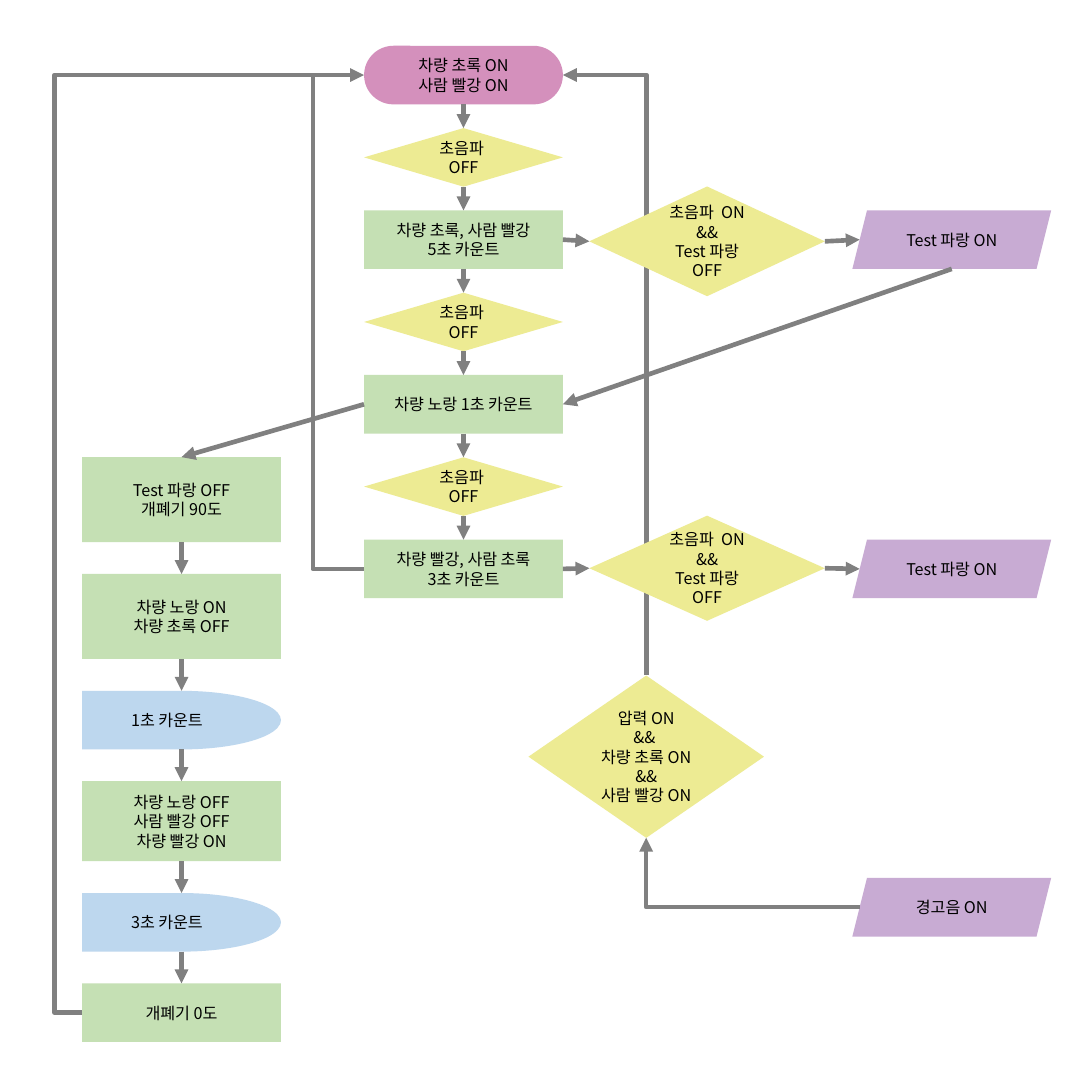
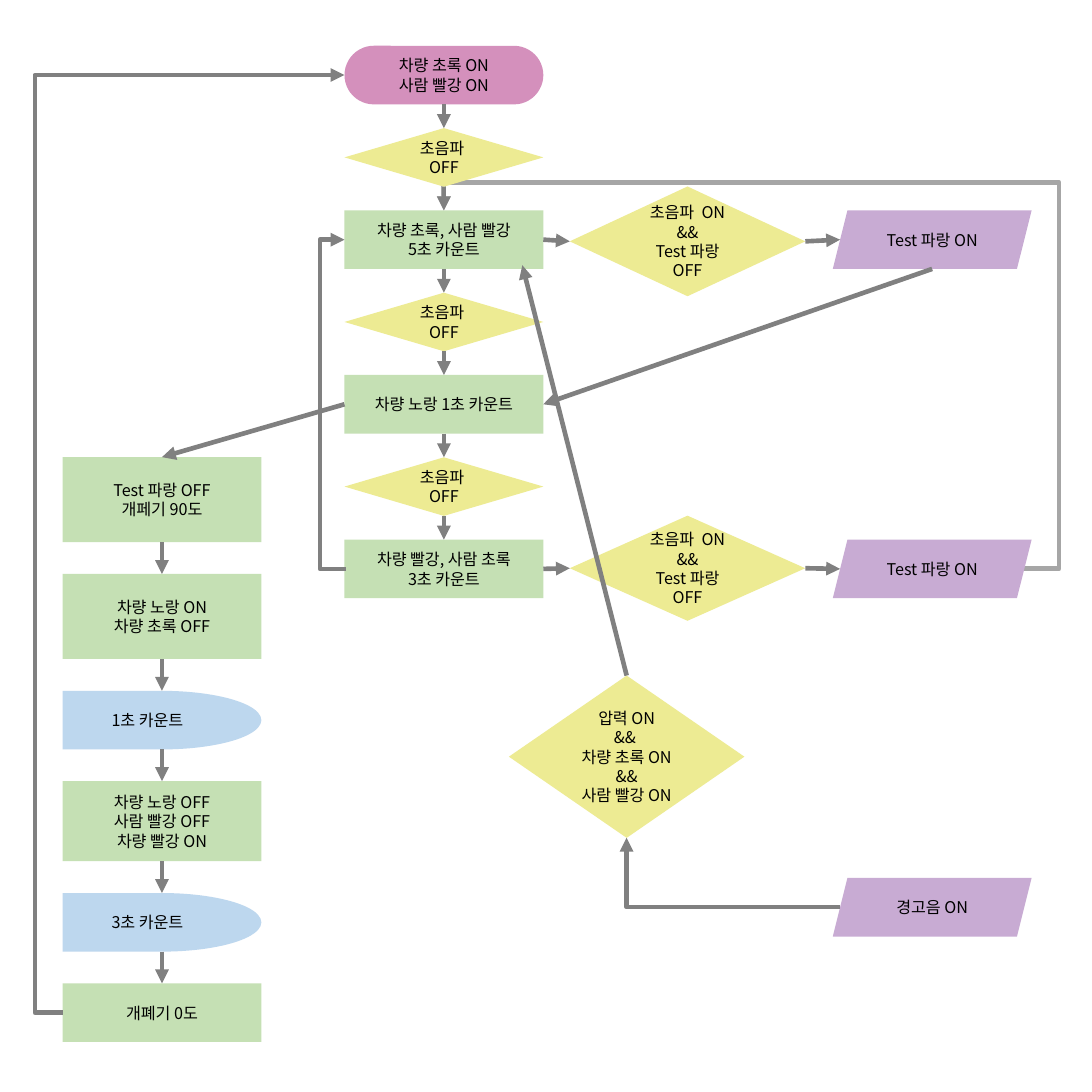
from lxml.etree import SubElement as Sub
from pptx import Presentation
from pptx.dml.color import RGBColor
from pptx.enum.shapes import MSO_CONNECTOR as Link, MSO_SHAPE as Kind
from pptx.enum.text import MSO_ANCHOR, PP_ALIGN
from pptx.oxml.ns import qn
from pptx.util import Pt

FONT = "Noto Sans CJK KR"
BLACK = RGBColor(0, 0, 0)
GREEN = RGBColor(0xC5, 0xE0, 0xB4)
YELLOW = RGBColor(0xED, 0xEB, 0x93)
PINK = RGBColor(0xD4, 0x90, 0xBC)
BLUE = RGBColor(0xBD, 0xD7, 0xEE)
PURPLE = RGBColor(0xC8, 0xAB, 0xD3)
GRAY = RGBColor(0x80, 0x80, 0x80)
PALE = RGBColor(0xA6, 0xA6, 0xA6)

STEP = (Kind.RECTANGLE, GREEN)
TEST = (Kind.DIAMOND, YELLOW)
START = (Kind.ROUNDED_RECTANGLE, PINK)
WAIT = (Kind.FLOWCHART_DELAY, BLUE)
SIGNAL = (Kind.PARALLELOGRAM, PURPLE)

SIDE = 708.5
WIDE, HIGH = 129, 38
MID_X, MID_Y, MID_STEP = 236.2, 29.7, 53.4
LEFT_X, LEFT_Y, LEFT_GAP = 53.3, 296.6, 20.6
SIGNAL_X, TEST_X, TEST_WIDE = 553, 382.4, 152.8

OFF = "초음파  OFF"
MIDDLE = [
    ("start", START, "차량 초록 ON\n사람 빨강 ON"),
    ("off 1", TEST, OFF),
    ("green", STEP, "차량 초록, 사람 빨강\n5초 카운트"),
    ("off 2", TEST, OFF),
    ("yellow", STEP, "차량 노랑 1초 카운트"),
    ("off 3", TEST, OFF),
    ("red", STEP, "차량 빨강, 사람 초록\n3초 카운트"),
]
LEFT = [
    ("open", STEP, 55.2, "Test 파랑 OFF\n{gate} 90도"),
    ("amber", STEP, 55.2, "차량 노랑 ON\n차량 초록 OFF"),
    ("wait 1", WAIT, HIGH, "1초 카운트"),
    ("stop", STEP, 52, "차량 노랑 OFF\n사람 빨강 OFF\n차량 빨강 ON"),
    ("wait 3", WAIT, HIGH, "3초 카운트"),
    ("close", STEP, HIGH, "개폐기 0도"),
]
ON = "초음파  ON\n&&\nTest 파랑 OFF"
BLUE_ON = "Test 파랑 ON"
RIGHT = [
    ("on 1", TEST, TEST_X, 121, TEST_WIDE, 71.2, ON),
    ("blue 1", SIGNAL, SIGNAL_X, 136.5, WIDE, HIGH, BLUE_ON),
    ("on 2", TEST, TEST_X, 334.6, TEST_WIDE, 68.2, ON),
    ("blue 2", SIGNAL, SIGNAL_X, 350.1, WIDE, HIGH, BLUE_ON),
    ("press", TEST, 342.9, 438.3, TEST_WIDE, 105.3,
     "압력 ON\n&& \n차량 초록 ON\n&&\n사람 빨강 ON"),
    ("alarm", SIGNAL, SIGNAL_X, 569.6, WIDE, HIGH, "경고음 ON"),
]

# Links: (node, side) or a free point at each end
DIRECT = [
    (("green", "right"), ("on 1", "left")),
    (("on 1", "right"), ("blue 1", "left")),
    (("blue 1", "bottom"), ("yellow", "right")),
    (("red", "right"), ("on 2", "left")),
    (("on 2", "right"), ("blue 2", "left")),
    (("yellow", "left"), ("open", "top")),
]
# Bent links add the preset, its bends and options
BENT = [
    (("alarm", "left"), ("press", "bottom"), "bentConnector2", (), {}),
    (("close", "left"), ("start", "left"), "bentConnector3", (-0.098,), {}),
]
FIRST = [
    (("start", "right"), ("press", "top"), "bentConnector2", (),
     {"arrow": "headEnd", "back": True}),
    (("red", "left"), (203, 48.7), "bentConnector2", (), {"arrow": None}),
]
SECOND = [
    (("blue 2", "right"), ("green", "top"), "bentConnector4",
     (-0.06, 1.078), {"color": PALE, "back": True}),
    (("red", "left"), ("green", "left"), "bentConnector3", (18,),
     {"nudge": 0.94}),
    (("press", "top"), (351.6, 172.1), "line", (), {}),
]
PAGES = [(0, "개폐기", FIRST), (-12.7, "개페기", SECOND)]

SPOTS = {"top": (0.5, 0), "left": (0, 0.5), "bottom": (0.5, 1), "right": (1, 0.5)}
SITES = {"top": 0, "left": 1, "bottom": 2, "right": 3}
SLANT_SITES = {"top": 0, "left": 2, "bottom": 4, "right": 5}


def add_node(slide, look, x, y, wide, high, text):
    """Draw one box of the flow with its centred text."""
    kind, fill = look
    node = slide.shapes.add_shape(kind, Pt(x), Pt(y), Pt(wide), Pt(high))
    node.shadow.inherit = False
    node.fill.solid()
    node.fill.fore_color.rgb = fill
    node.line.fill.background()
    if look == START:
        node.adjustments[0] = 0.5
    frame = node.text_frame
    frame.word_wrap = True
    frame.vertical_anchor = MSO_ANCHOR.MIDDLE
    frame.text = text
    for para in frame.paragraphs:
        para.alignment = PP_ALIGN.CENTER
        para.font.size = Pt(10.5)
        para.font.name = FONT
        para.font.color.rgb = BLACK
        Sub(para._p.pPr.find(qn("a:defRPr")), qn("a:ea"), typeface=FONT)
    return node


def locate(nodes, end, shift):
    """Give the place of a link's end, and its node and site if it has one."""
    if end[0] not in nodes:
        return Pt(end[0] + shift), Pt(end[1]), None, None
    node, side = nodes[end[0]], end[1]
    across, down = SPOTS[side]
    x = node.left + int(node.width * across)
    y = node.top + int(node.height * down)
    if node.auto_shape_type != Kind.PARALLELOGRAM:
        return x, y, node, SITES[side]
    slant = int(node.height / 8)
    x += {"left": slant, "right": -slant}.get(side, 0)
    return x, y, node, SLANT_SITES[side]


def add_link(slide, nodes, shift, tail, head, preset="line", bends=(),
             arrow="tailEnd", color=GRAY, back=False, nudge=0):
    """Join two ends by a straight or bent line."""
    x1, y1, node1, site1 = locate(nodes, tail, shift)
    x2, y2, node2, site2 = locate(nodes, head, shift)
    kind = Link.STRAIGHT if preset == "line" else Link.ELBOW
    link = slide.shapes.add_connector(kind, x1 + Pt(nudge), y1, x2, y2)
    link.line.color.rgb = color
    link.line.width = Pt(3)
    item = link._element
    glue = item.nvCxnSpPr.cNvCxnSpPr
    for tag, node, site in (("a:stCxn", node1, site1), ("a:endCxn", node2, site2)):
        if node is not None:
            Sub(glue, qn(tag), id=str(node.shape_id), idx=str(site))
    geom = item.spPr.find(qn("a:prstGeom"))
    geom.set("prst", preset)
    guides = geom.find(qn("a:avLst"))
    if guides is None:
        guides = Sub(geom, qn("a:avLst"))
    for count, bend in enumerate(bends, 1):
        Sub(guides, qn("a:gd"), name=f"adj{count}", fmla=f"val {round(bend * 100000)}")
    if arrow:
        Sub(item.spPr.find(qn("a:ln")), qn("a:" + arrow), type="triangle")
    Sub(item.spPr, qn("a:effectLst"))
    if back:
        slide.shapes._spTree.insert(2, item)


def add_page(deck, shift, gate, extra):
    """Build one flow chart, moved sideways by shift."""
    slide = deck.slides.add_slide(deck.slide_layouts[6])
    nodes = {}
    for row, (name, look, text) in enumerate(MIDDLE):
        nodes[name] = add_node(slide, look, MID_X + shift,
                               MID_Y + row * MID_STEP, WIDE, HIGH, text)
    y = LEFT_Y
    for name, look, high, text in LEFT:
        nodes[name] = add_node(slide, look, LEFT_X + shift, y, WIDE, high,
                               text.format(gate=gate))
        y += high + LEFT_GAP
    for name, look, x, y, wide, high, text in RIGHT:
        nodes[name] = add_node(slide, look, x + shift, y, wide, high, text)
    for column in (MIDDLE, LEFT):
        for above, below in zip(column, column[1:]):
            add_link(slide, nodes, shift, (above[0], "bottom"), (below[0], "top"))
    for tail, head in DIRECT:
        add_link(slide, nodes, shift, tail, head)
    for tail, head, preset, bends, options in BENT + extra:
        add_link(slide, nodes, shift, tail, head, preset, bends, **options)


deck = Presentation()
deck.slide_width = deck.slide_height = Pt(SIDE)
for shift, gate, extra in PAGES:
    add_page(deck, shift, gate, extra)
deck.save("out.pptx")
